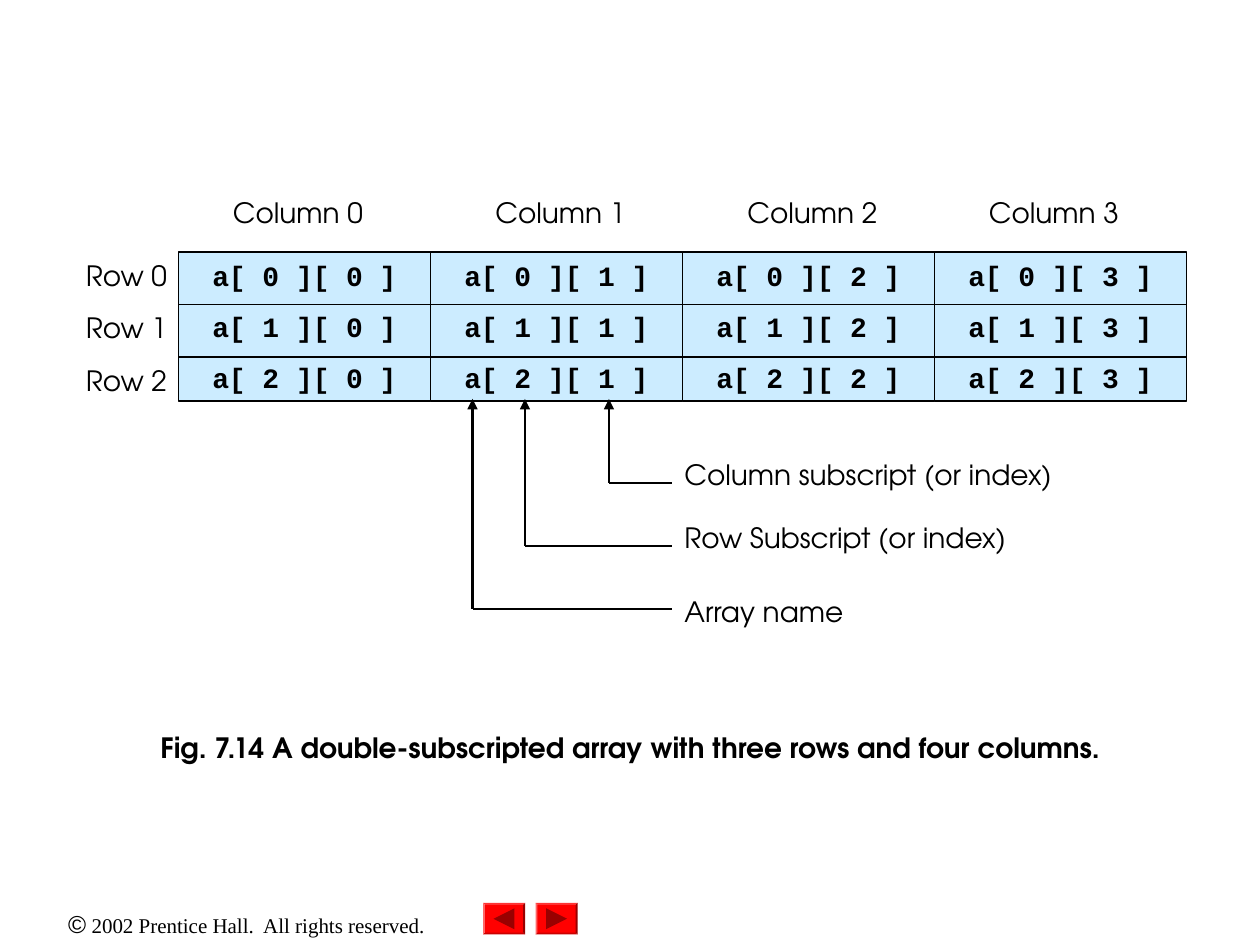
"""Build a slide that explains the subscripts of a double-subscripted array."""
import pptx
import pptx.util
import pptx.dml.color
import pptx.enum.shapes
import pptx.enum.text
import pptx.oxml
import pptx.oxml.ns

Pt = pptx.util.Pt
RGB = pptx.dml.color.RGBColor.from_string
KIND = pptx.enum.shapes.MSO_SHAPE
ALIGN = pptx.enum.text.PP_ALIGN
theme = {
    "ink": "000000", "cell": "CCECFF", "key": "FF0000", "mark": "990000",
    "sans": "TeX Gyre Adventor", "code": "Courier New",
    "serif": "Times New Roman", "sign": "Arial",
    "body": 16, "foot": 12, "copy": 14, "gap": 10, "thin": 0.75, "thick": 1.5,
}

deck = pptx.Presentation()
deck.slide_width = pptx.util.Inches(10)
deck.slide_height = pptx.util.Inches(7.5)
slide = deck.slides.add_slide(deck.slide_layouts[6])
shapes = slide.shapes


def grid(*units):
    """Turn grid units, 120 to the slide's width and 90 to its height, into lengths."""
    return [round(deck.slide_width * unit / 120) for unit in units]


def write(para, runs, align=ALIGN.LEFT, bold=False):
    """Fill a paragraph with (text, font, size) runs."""
    para.alignment = align
    for text, face, size in runs:
        run = para.add_run()
        run.text = text
        run.font.name = face
        run.font.size = Pt(size)
        run.font.bold = bold
        run.font.color.rgb = RGB(theme["ink"])


left, top, wide, high, step = 17, 24, 24, 14.2, 5
lines = []
for col in range(4):
    x = left + col * wide
    box = shapes.add_shape(KIND.RECTANGLE, *grid(x, top, wide, high))
    box.shadow.inherit = False
    box.fill.solid()
    box.fill.fore_color.rgb = RGB(theme["cell"])
    box.line.color.rgb = RGB(theme["ink"])
    box.line.width = Pt(theme["thin"])
    frame = box.text_frame
    frame.word_wrap = True
    frame.vertical_anchor = pptx.enum.text.MSO_ANCHOR.TOP
    for row in range(3):
        para = frame.add_paragraph() if row else frame.paragraphs[0]
        if row:
            para.space_before = Pt(theme["gap"])
            y = top + row * step
            lines.append((x, y, x + wide, y, "thin", False))
        write(para, [(f"a[ {row} ][ {col} ]", theme["code"], theme["body"])],
              ALIGN.CENTER, True)

for x, y in [(58, 46), (50, 52), (45, 58)]:
    lines += [(x, 38, x, y, "thick", True), (x, y, 64, y, "thick", False)]

for *ends, weight, arrow in lines:
    line = shapes.add_connector(
        pptx.enum.shapes.MSO_CONNECTOR.STRAIGHT, *grid(*ends))
    line.line.color.rgb = RGB(theme["ink"])
    line.line.width = Pt(theme[weight])
    if arrow:
        line.line._get_or_add_ln().append(pptx.oxml.parse_xml(
            f'<a:headEnd {pptx.oxml.ns.nsdecls("a")} type="triangle"/>'))
    line._element.spPr.append(pptx.oxml.parse_xml(
        f'<a:effectLst {pptx.oxml.ns.nsdecls("a")}/>'))

labels = [(f"Row {row}", 7, top + step * row, 10.2, False) for row in range(3)]
labels += [(f"Column {col}", x, 18, 14.8, False)
           for col, x in enumerate([21, 46, 70, 93])]
labels += [
    ("Column subscript (or index)", 64, 43, 37.6, False),
    ("Row Subscript (or index)", 64, 49, 33.2, False),
    ("Array name", 64, 56, 17.6, False),
    ("Fig. 7.14 A double-subscripted array with three rows and four columns.",
     14.1, 69, 92.6, True),
]
for text, x, y, width, bold in labels:
    box = shapes.add_textbox(*grid(x, y, width, 4.4))
    box.text_frame.word_wrap = False
    write(box.text_frame.paragraphs[0], [(text, theme["sans"], theme["body"])],
          bold=bold)

foot = shapes.add_textbox(*grid(0, 86, 47, 4.1))
foot.text_frame.word_wrap = True
write(foot.text_frame.paragraphs[0], [
    ("©", theme["sign"], theme["copy"]),
    (" 2002 Prentice Hall.  All rights reserved.", theme["serif"], theme["foot"]),
], ALIGN.CENTER)

for x, turn in [(46, -90), (51, 90)]:
    key = shapes.add_shape(KIND.BEVEL, *grid(x, 86, 4, 3))
    key.adjustments[0] = 0.06
    mark = shapes.add_shape(KIND.ISOSCELES_TRIANGLE, *grid(x + 1, 86.5, 2, 2))
    mark.rotation = turn
    for part, tint in [(key, "key"), (mark, "mark")]:
        part.shadow.inherit = False
        part.fill.solid()
        part.fill.fore_color.rgb = RGB(theme[tint])
        part.line.fill.background()

deck.save("out.pptx")
